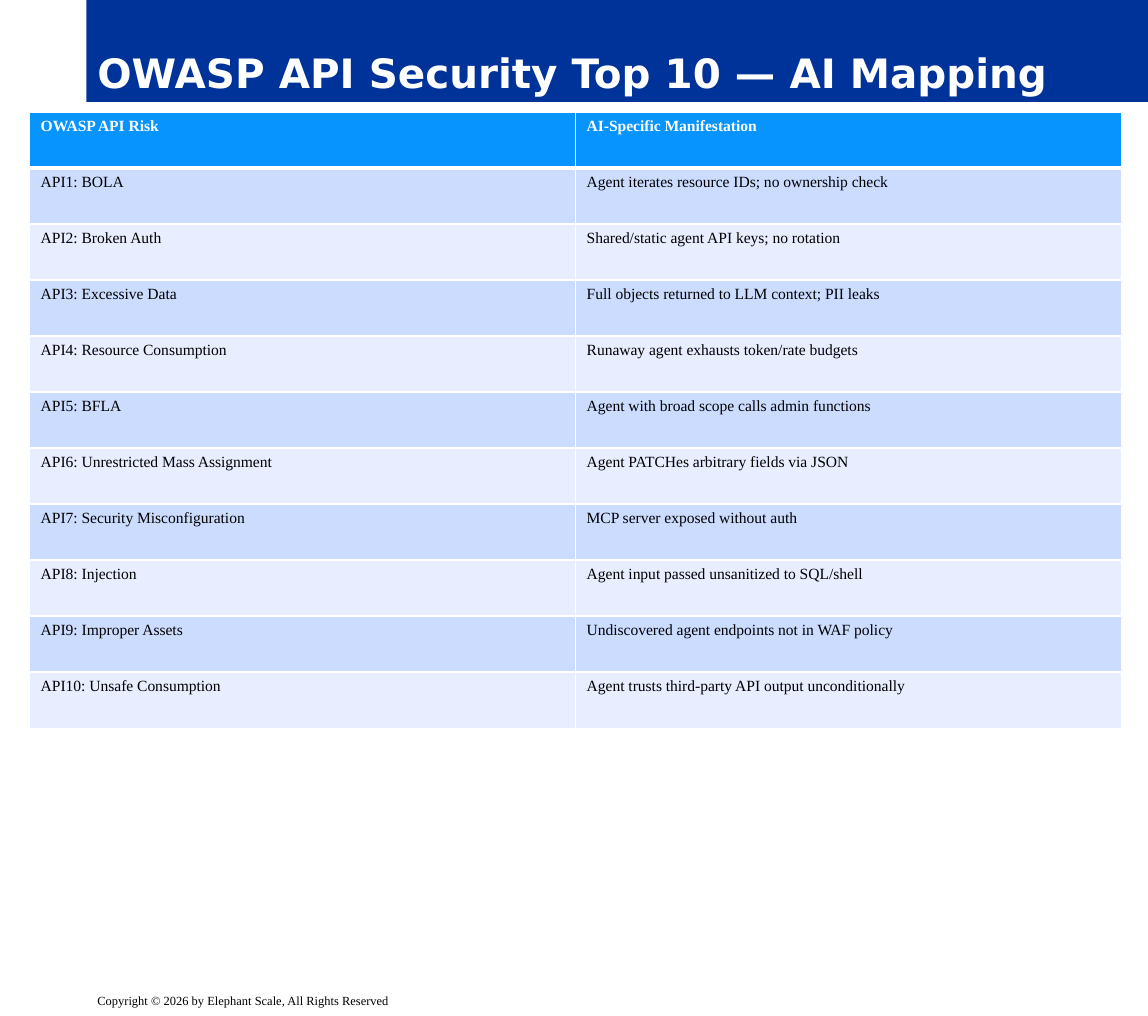
from lxml import etree
from pptx import Presentation
from pptx.dml.color import RGBColor
from pptx.enum.shapes import MSO_SHAPE
from pptx.enum.text import MSO_ANCHOR, PP_ALIGN
from pptx.oxml.ns import qn
from pptx.util import Pt

RECTANGLE = MSO_SHAPE.RECTANGLE
BOTTOM, TOP = MSO_ANCHOR.BOTTOM, MSO_ANCHOR.TOP
LEFT = PP_ALIGN.LEFT

# Content
TITLE = "OWASP API Security Top 10 — AI Mapping"
COPYRIGHT = "Copyright © 2026 by Elephant Scale, All Rights Reserved"
RISKS = [
    ("OWASP API Risk", "AI-Specific Manifestation"),
    ("API1: BOLA", "Agent iterates resource IDs; no ownership check"),
    ("API2: Broken Auth", "Shared/static agent API keys; no rotation"),
    ("API3: Excessive Data", "Full objects returned to LLM context; PII leaks"),
    ("API4: Resource Consumption", "Runaway agent exhausts token/rate budgets"),
    ("API5: BFLA", "Agent with broad scope calls admin functions"),
    ("API6: Unrestricted Mass Assignment", "Agent PATCHes arbitrary fields via JSON"),
    ("API7: Security Misconfiguration", "MCP server exposed without auth"),
    ("API8: Injection", "Agent input passed unsanitized to SQL/shell"),
    ("API9: Improper Assets", "Undiscovered agent endpoints not in WAF policy"),
    ("API10: Unsafe Consumption", "Agent trusts third-party API output unconditionally"),
]

# Theme
THEME = {
    "banner": "003399", "header": "0794FF", "bands": ("CCDCFF", "E7EEFF"),
    "light": "FFFFFF", "dark": "000000",
    "title_font": "DejaVu Sans", "body_font": "Times New Roman",
    "title_size": 26, "table_size": 10, "copyright_size": 8,
    "rule": 1, "header_rule": 3,
}

# Layout, in points
SLIDE_W, SLIDE_H = 738, 653
MARGIN_LEFT = 55.5
BANNER_H = 65.5
TABLE_LEFT, TABLE_TOP, TABLE_W = 19, 72, 702
ROW_H = 36
COPYRIGHT_H = 18


def write(frame, text, font, size, color, bold=False):
    paragraph = frame.paragraphs[0]
    paragraph.alignment = LEFT
    run = paragraph.add_run()
    run.text = text
    run.font.name = font
    run.font.size = Pt(size)
    run.font.bold = bold
    run.font.color.rgb = RGBColor.from_string(color)


def set_borders(cell, widths):
    properties = cell._tc.get_or_add_tcPr()
    for side, width in widths.items():
        line = etree.SubElement(properties, qn(f"a:ln{side}"), w=str(Pt(width)))
        fill = etree.SubElement(line, qn("a:solidFill"))
        etree.SubElement(fill, qn("a:srgbClr"), val=THEME["light"])


def add_banner(slide):
    banner = slide.shapes.add_shape(
        RECTANGLE, Pt(MARGIN_LEFT), 0, Pt(SLIDE_W - MARGIN_LEFT), Pt(BANNER_H))
    banner.shadow.inherit = False
    banner.fill.solid()
    banner.fill.fore_color.rgb = RGBColor.from_string(THEME["banner"])
    banner.line.fill.background()
    banner.text_frame.word_wrap = True
    banner.text_frame.vertical_anchor = BOTTOM
    write(banner.text_frame, TITLE, THEME["title_font"], THEME["title_size"],
          THEME["light"], bold=True)


def add_copyright(slide):
    box = slide.shapes.add_textbox(
        Pt(MARGIN_LEFT), Pt(SLIDE_H - COPYRIGHT_H),
        Pt(SLIDE_W - MARGIN_LEFT), Pt(COPYRIGHT_H))
    box.text_frame.word_wrap = True
    write(box.text_frame, COPYRIGHT, THEME["body_font"],
          THEME["copyright_size"], THEME["dark"])


def add_risk_table(slide):
    table = slide.shapes.add_table(
        len(RISKS), len(RISKS[0]), Pt(TABLE_LEFT), Pt(TABLE_TOP),
        Pt(TABLE_W), Pt(ROW_H * len(RISKS))).table
    for row, entries in enumerate(RISKS):
        is_header = row == 0
        fill = THEME["header"] if is_header else THEME["bands"][(row - 1) % 2]
        color = THEME["light"] if is_header else THEME["dark"]
        above = THEME["header_rule"] if row == 1 else THEME["rule"]
        below = THEME["header_rule"] if is_header else THEME["rule"]
        for column, text in enumerate(entries):
            cell = table.cell(row, column)
            cell.vertical_anchor = TOP
            set_borders(cell, {"L": THEME["rule"], "R": THEME["rule"],
                               "T": above, "B": below})
            cell.fill.solid()
            cell.fill.fore_color.rgb = RGBColor.from_string(fill)
            write(cell.text_frame, text, THEME["body_font"],
                  THEME["table_size"], color, bold=is_header)


def main():
    deck = Presentation()
    deck.slide_width, deck.slide_height = Pt(SLIDE_W), Pt(SLIDE_H)
    slide = deck.slides.add_slide(deck.slide_layouts[6])
    add_banner(slide)
    add_copyright(slide)
    add_risk_table(slide)
    deck.save("out.pptx")


if __name__ == "__main__":
    main()
